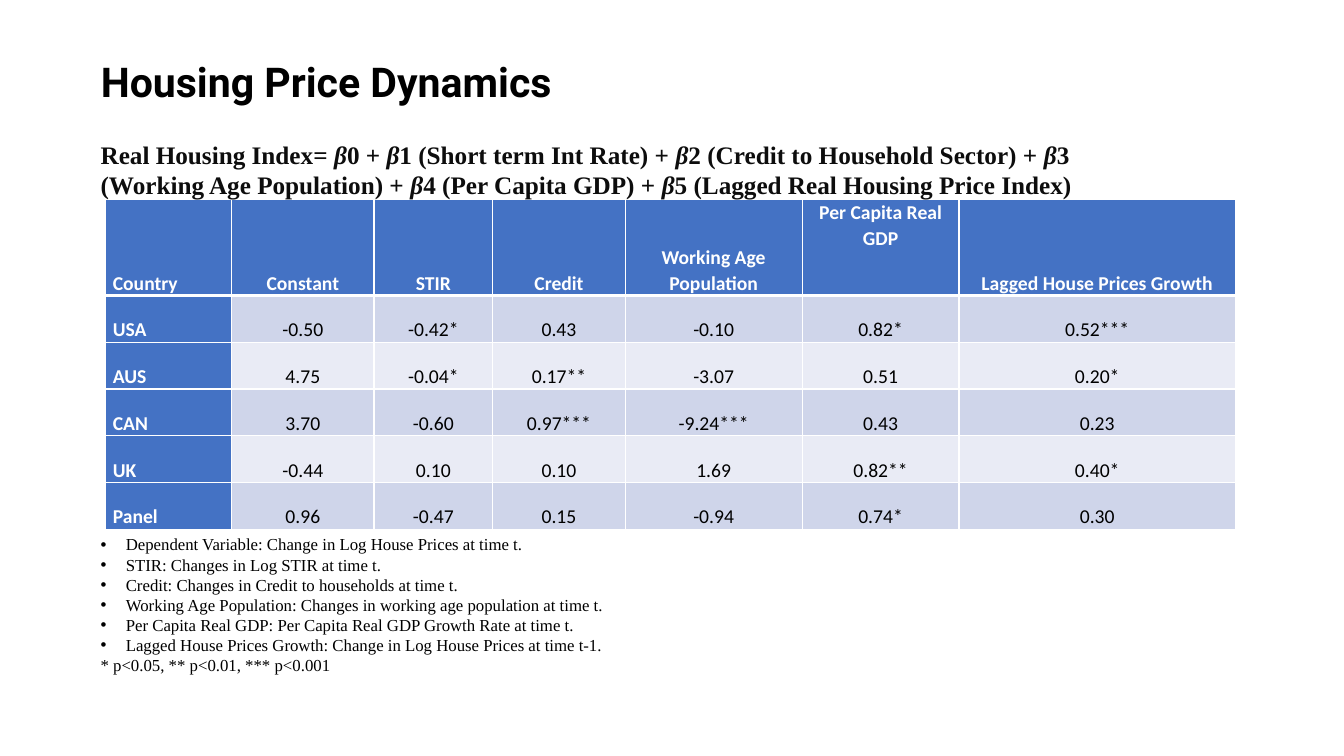
from dataclasses import dataclass

from lxml import etree
from pptx import Presentation
from pptx.dml.color import RGBColor
from pptx.enum.text import MSO_ANCHOR as ANCHOR, PP_ALIGN as ALIGN
from pptx.oxml.ns import qn
from pptx.util import Pt

BLACK, WHITE, INK = "000000", "FFFFFF", "0D0D0D"
BLUE, BAND_DARK, BAND_LIGHT = "4472C4", "CFD5EA", "E9EBF5"
SERIF = "Times New Roman"


@dataclass
class TextStyle:
    font: str
    size: float
    color: str
    bold: bool = False


@dataclass
class Box:
    left: float
    top: float
    width: float
    height: float
    inset_x: float = 7.2
    inset_y: float = 3.6


TITLE_STYLE = TextStyle("Roboto", 29.3, BLACK, True)
FORMULA_STYLE = TextStyle(SERIF, 18, INK, True)
NOTE_STYLE = TextStyle(SERIF, 12, BLACK)
HEAD_STYLE = TextStyle("Calibri", 14, WHITE, True)
VALUE_STYLE = TextStyle("Calibri", 14, BLACK)

FORMULA = (
    "Real Housing Index= β0 + β1 (Short term Int Rate) + "
    "β2 (Credit to Household Sector) + β3 (Working Age Population) + "
    "β4 (Per Capita GDP) + β5 (Lagged Real Housing Price Index)"
)
RESULTS = [
    ["Country", "Constant", "STIR", "Credit", "Working Age Population",
     "Per Capita Real GDP", "Lagged House Prices Growth"],
    ["USA", "-0.50", "-0.42*", "0.43", "-0.10", "0.82*", "0.52***"],
    ["AUS", "4.75", "-0.04*", "0.17**", "-3.07", "0.51", "0.20*"],
    ["CAN", "3.70", "-0.60", "0.97***", "-9.24***", "0.43", "0.23"],
    ["UK", "-0.44", "0.10", "0.10", "1.69", "0.82**", "0.40*"],
    ["Panel", "0.96", "-0.47", "0.15", "-0.94", "0.74*", "0.30"],
]
COLUMN_WIDTHS = [90, 101.5, 85, 94.5, 126.5, 112, 197.5]
HEADER_HEIGHT, ROW_HEIGHT = 68.4, 33.4
GDP_COLUMN = 5
NOTES = [
    "Dependent Variable: Change in Log House Prices at time t.",
    "STIR: Changes in Log STIR at time t.",
    "Credit: Changes in Credit to households at time t.",
    "Working Age Population: Changes in working age population at time t.",
    "Per Capita Real GDP: Per Capita Real GDP Growth Rate at time t.",
    "Lagged House Prices Growth: Change in Log House Prices at time t-1.",
]
SIGNIFICANCE = "* p<0.05, ** p<0.01, *** p<0.001"


def rgb(color: str) -> RGBColor:
    return RGBColor.from_string(color)


def style_runs(p, style: TextStyle) -> None:
    for r in p.runs:
        r.font.name = style.font
        r.font.size = Pt(style.size)
        r.font.bold = style.bold
        r.font.color.rgb = rgb(style.color)


def add_text_frame(slide, box: Box):
    sp = slide.shapes.add_textbox(Pt(box.left), Pt(box.top), Pt(box.width), Pt(box.height))
    tf = sp.text_frame
    tf.word_wrap = True
    tf.margin_left = tf.margin_right = Pt(box.inset_x)
    tf.margin_top = tf.margin_bottom = Pt(box.inset_y)
    return tf


def add_bullet(p) -> None:
    pPr = p._p.get_or_add_pPr()
    pPr.set("marL", str(Pt(18)))
    pPr.set("indent", str(-Pt(18)))
    etree.SubElement(pPr, qn("a:buFont")).set("typeface", "Arial")
    etree.SubElement(pPr, qn("a:buChar")).set("char", "•")


def set_border(cell, side: str, width: float) -> None:
    ln = etree.SubElement(cell._tc.get_or_add_tcPr(), qn(f"a:{side}"), w=str(Pt(width)))
    fill = etree.SubElement(ln, qn("a:solidFill"))
    etree.SubElement(fill, qn("a:srgbClr"), val=WHITE)


def format_cell(cell, row: int, col: int) -> None:
    heading = row == 0 or col == 0
    # Borders, with a thick rule under the header
    set_border(cell, "lnL", 1)
    set_border(cell, "lnR", 1)
    set_border(cell, "lnT", 3 if row == 1 else 1)
    set_border(cell, "lnB", 3 if row == 0 else 1)
    cell.fill.solid()
    cell.fill.fore_color.rgb = rgb(BLUE if heading else BAND_DARK if row % 2 else BAND_LIGHT)
    # Text
    cell.margin_left = cell.margin_right = Pt(5)
    cell.margin_top = cell.margin_bottom = Pt(0)
    cell.vertical_anchor = ANCHOR.TOP if (row, col) == (0, GDP_COLUMN) else ANCHOR.BOTTOM
    p = cell.text_frame.paragraphs[0]
    p.alignment = ALIGN.CENTER if col else ALIGN.LEFT
    p.line_spacing = 1.07
    style_runs(p, HEAD_STYLE if heading else VALUE_STYLE)


def add_results_table(slide, left: float, top: float) -> None:
    height = HEADER_HEIGHT + ROW_HEIGHT * (len(RESULTS) - 1)
    table = slide.shapes.add_table(
        len(RESULTS), len(COLUMN_WIDTHS),
        Pt(left), Pt(top), Pt(sum(COLUMN_WIDTHS)), Pt(height)).table
    table.first_col = True
    for column, width in zip(table.columns, COLUMN_WIDTHS):
        column.width = Pt(width)
    for i, values in enumerate(RESULTS):
        table.rows[i].height = Pt(ROW_HEIGHT if i else HEADER_HEIGHT)
        for j, value in enumerate(values):
            cell = table.cell(i, j)
            cell.text_frame.text = value
            format_cell(cell, i, j)


def add_notes(slide, box: Box) -> None:
    tf = add_text_frame(slide, box)
    tf.text = "\n".join([*NOTES, SIGNIFICANCE])
    for p in tf.paragraphs:
        style_runs(p, NOTE_STYLE)
    for p in tf.paragraphs[:len(NOTES)]:
        add_bullet(p)


def add_formula(slide, box: Box) -> None:
    p = add_text_frame(slide, box).paragraphs[0]
    first, *terms = FORMULA.split("β")
    p.add_run().text = first
    for term in terms:
        beta = p.add_run()
        beta.text = "β"
        beta.font.italic = True
        p.add_run().text = term
    style_runs(p, FORMULA_STYLE)


def add_title(slide, box: Box) -> None:
    tf = add_text_frame(slide, box)
    tf.text = "Housing Price Dynamics"
    tf.paragraphs[0].line_spacing = 0.9
    style_runs(tf.paragraphs[0], TITLE_STYLE)


def main() -> None:
    prs = Presentation()
    prs.slide_width, prs.slide_height = Pt(960), Pt(540)
    slide = prs.slides.add_slide(prs.slide_layouts[6])
    add_notes(slide, Box(64.8, 378, 828, 162))
    add_results_table(slide, 75.6, 142.6)
    add_formula(slide, Box(64.8, 95.8, 779.8, 72.7))
    add_title(slide, Box(62.6, 34.6, 894.2, 60.5, 9.4, 9.4))
    prs.save("out.pptx")


if __name__ == "__main__":
    main()
